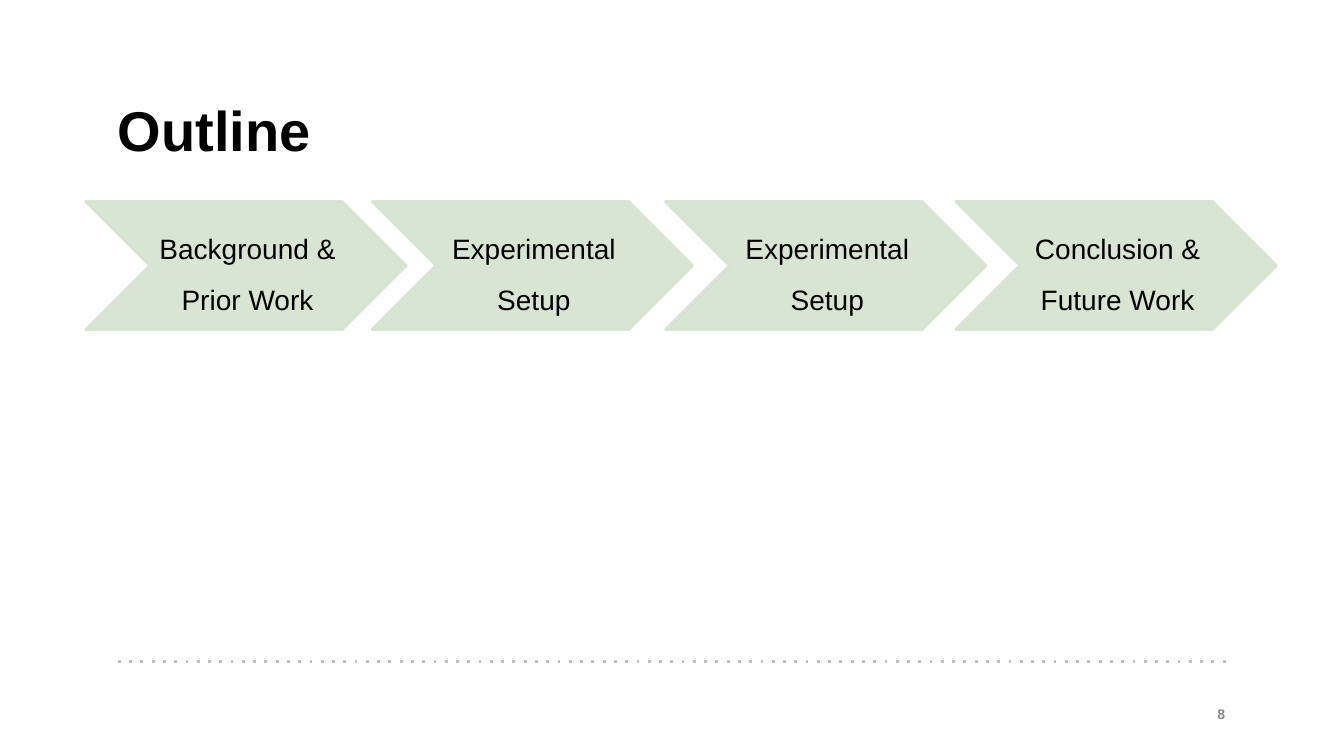
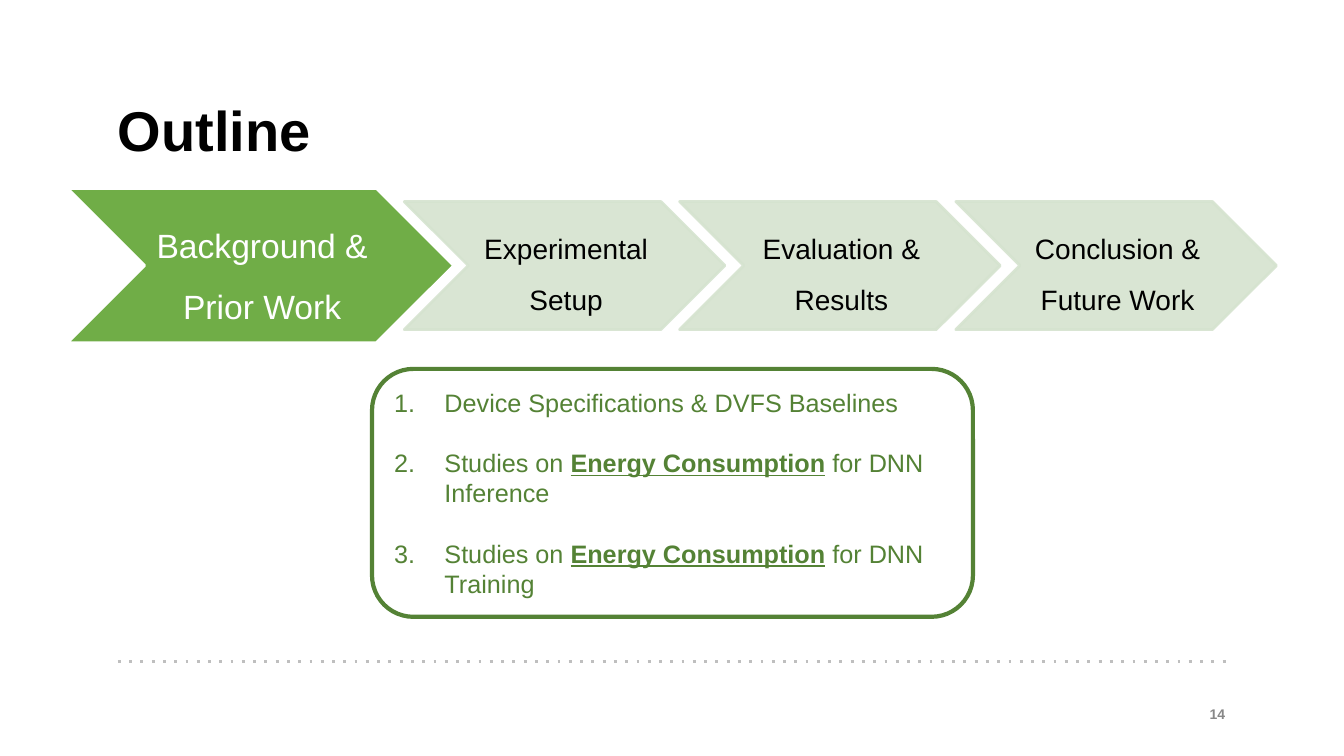
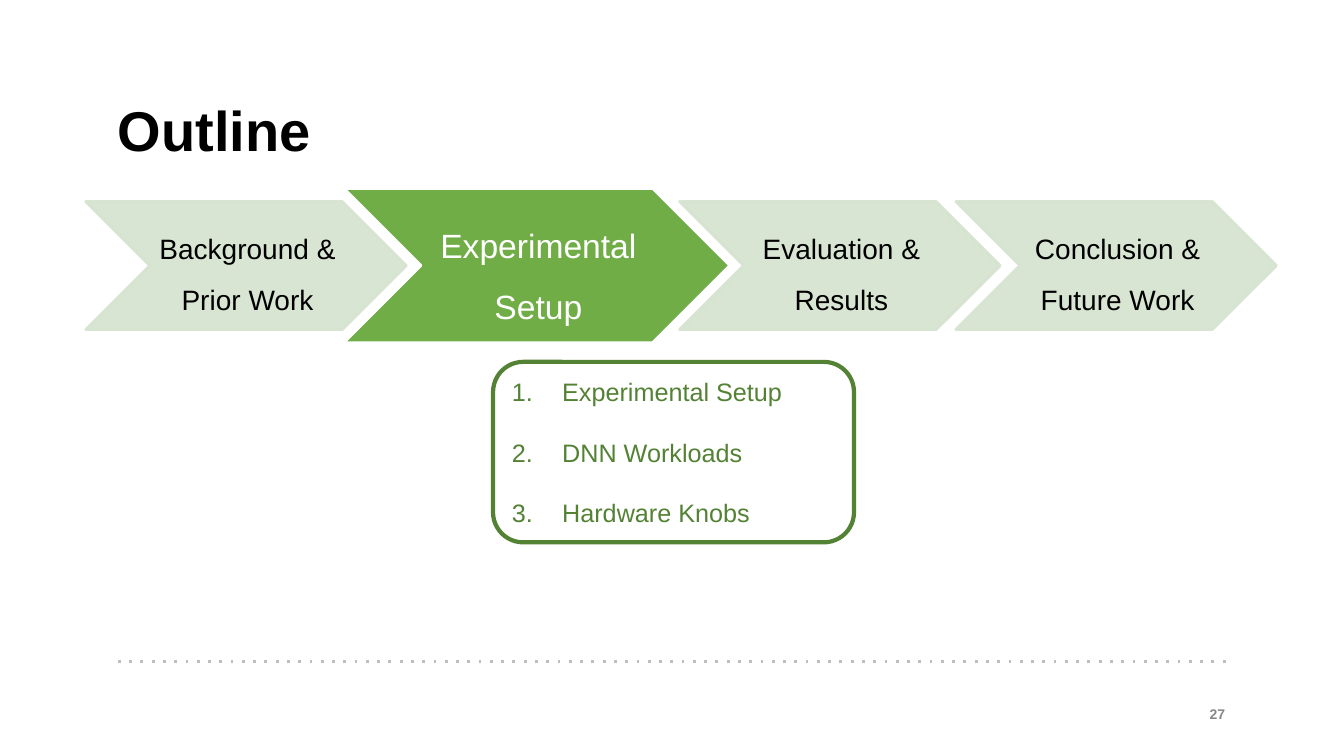
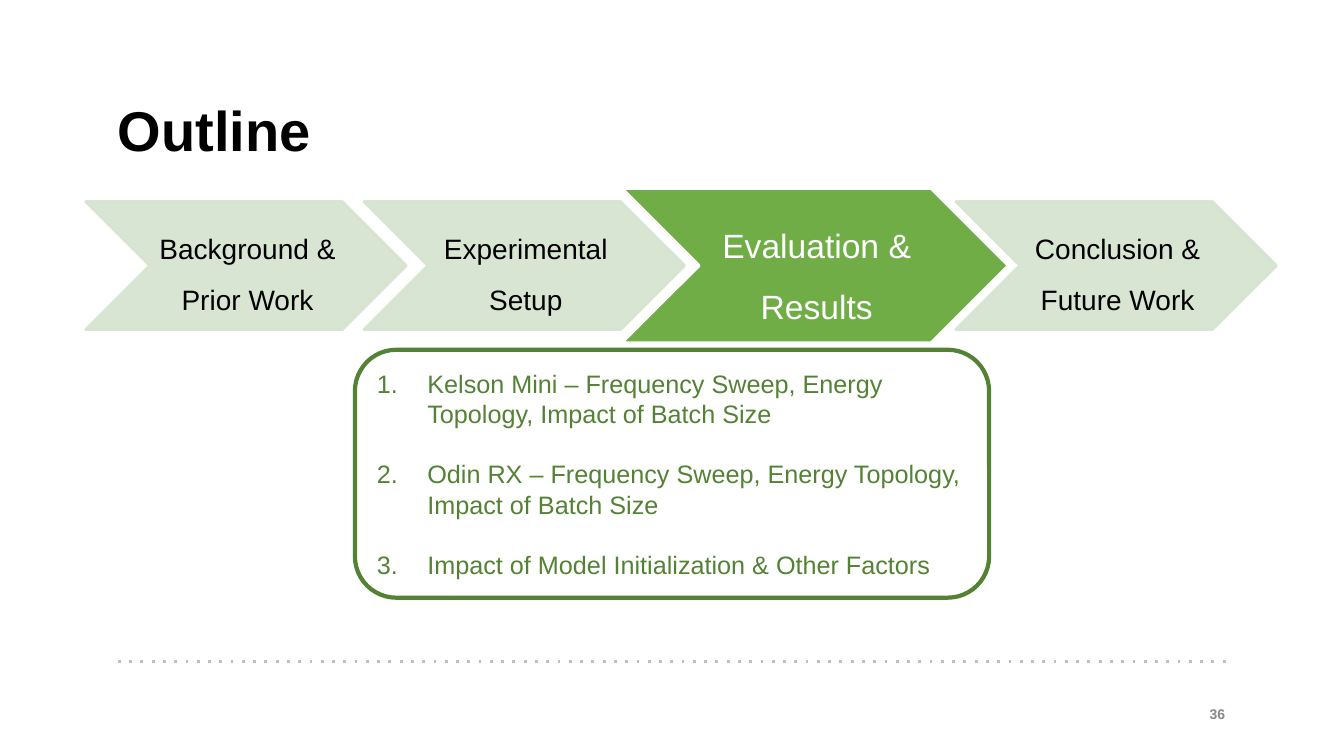
from dataclasses import dataclass

import pptx
import pptx.dml.color
import pptx.enum.dml
import pptx.enum.shapes
import pptx.enum.text
import pptx.oxml.ns
import pptx.oxml.xmlchemy
import pptx.util

Inches = pptx.util.Inches
Pt = pptx.util.Pt
RGBColor = pptx.dml.color.RGBColor
Shapes = pptx.enum.shapes.MSO_SHAPE
Align = pptx.enum.text.PP_ALIGN
Anchor = pptx.enum.text.MSO_ANCHOR
qn = pptx.oxml.ns.qn
OxmlElement = pptx.oxml.xmlchemy.OxmlElement


@dataclass(frozen=True)
class Theme:
    font: str = "Arial"
    black: RGBColor = RGBColor(0x00, 0x00, 0x00)
    white: RGBColor = RGBColor(0xFF, 0xFF, 0xFF)
    pale: RGBColor = RGBColor(0xD5, 0xE3, 0xCF)
    green: RGBColor = RGBColor(0x70, 0xAD, 0x47)
    dark_green: RGBColor = RGBColor(0x54, 0x82, 0x35)
    rule: RGBColor = RGBColor(0xBF, 0xBF, 0xBF)
    muted: RGBColor = RGBColor(0x88, 0x88, 0x88)
    title_size: float = 40
    step_size: float = 20
    active_size: float = 24
    item_size: float = 18
    number_size: float = 10
    item_gap: float = 21.5
    pale_opacity: int = 90


THEME = Theme()


@dataclass(frozen=True)
class Frame:
    left: float
    top: float
    width: float
    height: float

    def lengths(self) -> tuple:
        return tuple(Inches(n) for n in (self.left, self.top, self.width, self.height))


@dataclass(frozen=True)
class Step:
    label: str
    left: float
    active: bool = False


@dataclass(frozen=True)
class Agenda:
    """Numbered items; text between asterisks is emphasised."""
    frame: Frame
    items: tuple[str, ...]


@dataclass(frozen=True)
class Outline:
    number: int
    steps: tuple[Step, ...]
    agenda: Agenda | None = None


BACKGROUND = "Background & Prior Work"
SETUP = "Experimental Setup"
RESULTS = "Evaluation & Results"
CONCLUSION = Step("Conclusion & Future Work", 9.48)
FIRST = Step(BACKGROUND, 0.85)

OUTLINES = (
    Outline(8, (FIRST, Step(SETUP, 3.69), Step(SETUP, 6.6), CONCLUSION)),
    Outline(
        14,
        (Step(BACKGROUND, 0.67, True), Step(SETUP, 4.01), Step(RESULTS, 6.74), CONCLUSION),
        Agenda(Frame(3.69, 3.66, 5.96, 2.46), (
            "Device Specifications & DVFS Baselines",
            "Studies on *Energy Consumption* for DNN Inference",
            "Studies on *Energy Consumption* for DNN Training",
        )),
    ),
    Outline(
        27,
        (FIRST, Step(SETUP, 3.41, True), Step(RESULTS, 6.74), CONCLUSION),
        Agenda(Frame(4.89, 3.59, 3.58, 1.79), (
            "Experimental Setup",
            "DNN Workloads",
            "Hardware Knobs",
        )),
    ),
    Outline(
        36,
        (FIRST, Step(SETUP, 3.61), Step(RESULTS, 6.17, True), CONCLUSION),
        Agenda(Frame(3.52, 3.47, 6.29, 2.46), (
            "Kelson Mini – Frequency Sweep, Energy Topology, Impact of Batch Size",
            "Odin RX – Frequency Sweep, Energy Topology, Impact of Batch Size",
            "Impact of Model Initialization & Other Factors",
        )),
    ),
)


def style(span, size: float, color: RGBColor, bold: bool = False) -> None:
    span.font.name = THEME.font
    span.font.size = Pt(size)
    span.font.color.rgb = color
    span.font.bold = bold


def set_margins(text_frame, horizontal: float, vertical: float) -> None:
    text_frame.margin_left = text_frame.margin_right = Inches(horizontal)
    text_frame.margin_top = text_frame.margin_bottom = Inches(vertical)


def add_label(page, frame: Frame, text: str, size: float, color: RGBColor):
    """Add a bold one-line text box and return it."""
    box = page.shapes.add_textbox(*frame.lengths())
    box.text_frame.word_wrap = True
    box.text_frame.text = text
    style(box.text_frame.paragraphs[0].runs[0], size, color, bold=True)
    return box


def add_title(page) -> None:
    box = add_label(page, Frame(1.17, 1.13, 11, 0.57), "Outline",
                    THEME.title_size, THEME.black)
    set_margins(box.text_frame, 0, 0)
    box.text_frame.paragraphs[0].line_spacing = 0.7


def add_footer(page, number: int) -> None:
    rule = page.shapes.add_connector(
        pptx.enum.shapes.MSO_CONNECTOR.STRAIGHT,
        Inches(1.17), Inches(6.56), Inches(12.17), Inches(6.56))
    rule.line.color.rgb = THEME.rule
    rule.line.width = Pt(2)
    rule.line.dash_style = pptx.enum.dml.MSO_LINE.ROUND_DOT
    for dash in rule.element.iter(qn("a:prstDash")):
        dash.set("val", "dot")
    rule.element.spPr.append(OxmlElement("a:effectLst"))

    box = add_label(page, Frame(9.25, 6.88, 3, 0.4), str(number),
                    THEME.number_size, THEME.muted)
    box.text_frame.vertical_anchor = Anchor.MIDDLE
    box.text_frame.paragraphs[0].alignment = Align.RIGHT


def set_opacity(shape, percent: int) -> None:
    """Make the fill and the line of a shape partly transparent."""
    for color in shape.element.spPr.iter(qn("a:srgbClr")):
        alpha = OxmlElement("a:alpha")
        alpha.set("val", str(percent * 1000))
        color.append(alpha)


def add_step(page, step: Step) -> None:
    top, width, height = (1.87, 3.83, 1.53) if step.active else (2, 3.18, 1.27)
    frame = Frame(step.left, top, width, height)
    chevron = page.shapes.add_shape(Shapes.CHEVRON, *frame.lengths())
    chevron.shadow.inherit = False
    chevron.fill.solid()
    chevron.fill.fore_color.rgb = THEME.green if step.active else THEME.pale
    chevron.line.color.rgb = THEME.white if step.active else THEME.pale
    chevron.line.width = Pt(2)
    if not step.active:
        set_opacity(chevron, THEME.pale_opacity)

    text_frame = chevron.text_frame
    text_frame.word_wrap = True
    text_frame.vertical_anchor = Anchor.MIDDLE
    set_margins(text_frame, 0, 0.01)
    text_frame.margin_left = Inches(0.03)
    text_frame.text = step.label
    paragraph = text_frame.paragraphs[0]
    paragraph.alignment = Align.CENTER
    paragraph.line_spacing = 1.5
    if step.active:
        style(paragraph.runs[0], THEME.active_size, THEME.white)
    else:
        style(paragraph.runs[0], THEME.step_size, THEME.black)


def number_paragraph(paragraph) -> None:
    """Give a paragraph an automatic number and a hanging indent."""
    properties = paragraph._p.get_or_add_pPr()
    properties.set("marL", str(Inches(0.5)))
    properties.set("indent", str(-Inches(0.5)))
    bullet = OxmlElement("a:buAutoNum")
    bullet.set("type", "arabicPeriod")
    properties.append(bullet)


def add_agenda(page, agenda: Agenda) -> None:
    panel = page.shapes.add_shape(Shapes.ROUNDED_RECTANGLE, *agenda.frame.lengths())
    panel.shadow.inherit = False
    panel.fill.background()
    panel.line.color.rgb = THEME.dark_green
    panel.line.width = Pt(3)
    text_frame = panel.text_frame
    text_frame.word_wrap = True
    text_frame.vertical_anchor = Anchor.MIDDLE
    for index, item in enumerate(agenda.items):
        paragraph = text_frame.add_paragraph() if index else text_frame.paragraphs[0]
        number_paragraph(paragraph)
        paragraph.alignment = Align.LEFT
        if index:
            paragraph.space_before = Pt(THEME.item_gap)
        for position, part in enumerate(item.split("*")):
            emphasised = position % 2 == 1
            span = paragraph.add_run()
            span.text = part
            style(span, THEME.item_size, THEME.dark_green, bold=emphasised)
            span.font.underline = emphasised


def add_outline(deck, outline: Outline) -> None:
    page = deck.slides.add_slide(deck.slide_layouts[6])
    add_footer(page, outline.number)
    add_title(page)
    for step in sorted(outline.steps, key=lambda step: not step.active):
        add_step(page, step)
    if outline.agenda:
        add_agenda(page, outline.agenda)


def main() -> None:
    deck = pptx.Presentation()
    deck.slide_width = Inches(13.33)
    deck.slide_height = Inches(7.5)
    for outline in OUTLINES:
        add_outline(deck, outline)
    deck.save("out.pptx")


if __name__ == "__main__":
    main()
